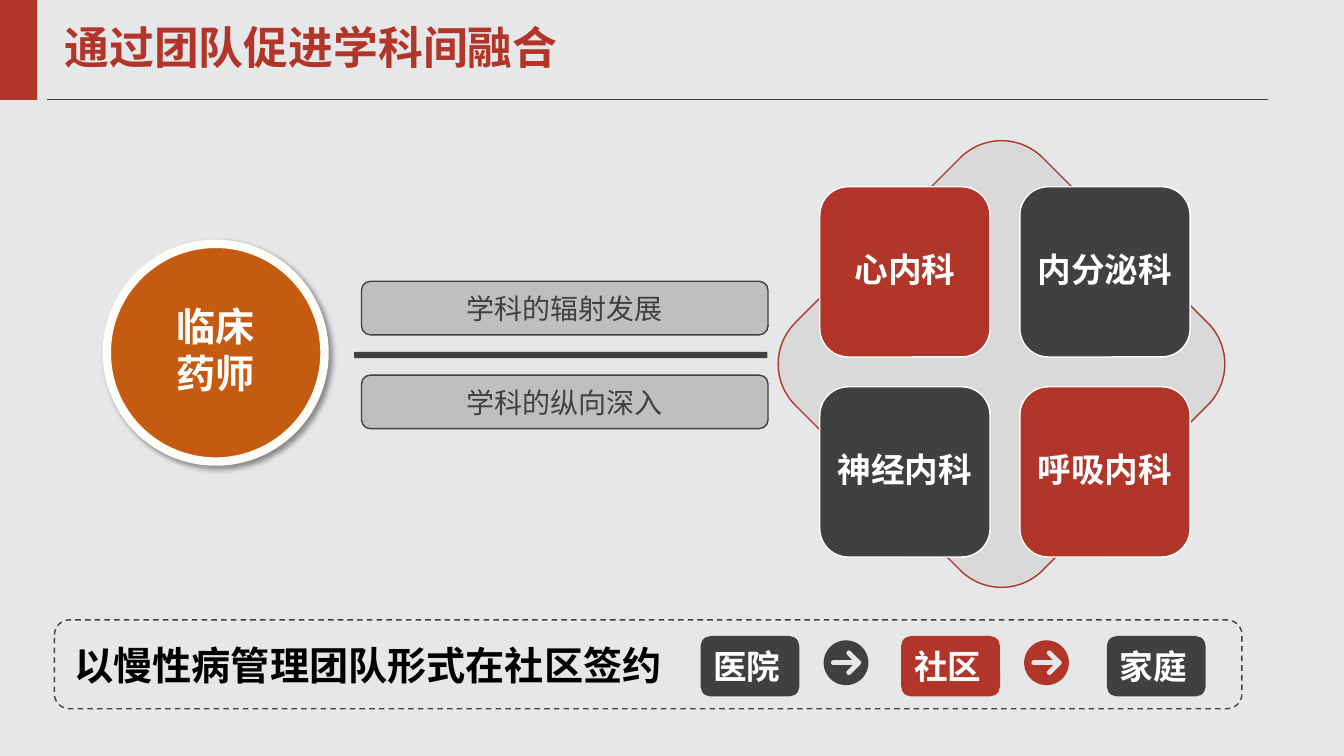
from lxml import etree
from pptx import Presentation
from pptx import util as u
from pptx.dml import color
from pptx.enum import dml, shapes, text
from pptx.oxml import ns

FONT = "Noto Sans CJK SC"
RED, DARK, PALE, WHITE = "B13528", "404040", "E6E7E8", "FFFFFF"
ROUND = shapes.MSO_SHAPE.ROUNDED_RECTANGLE
CENTER, LEFT = text.PP_ALIGN.CENTER, text.PP_ALIGN.LEFT


def rgb(value):
    return color.RGBColor.from_string(value)


def points(*lengths):
    return [u.Pt(length) for length in lengths]


def add_element(parent, tag, **attributes):
    return etree.SubElement(parent, ns.qn(tag), attributes)


def add_figure(page, kind, box, fill=None, line=None, width=1):
    figure = page.shapes.add_shape(kind, *points(*box))
    figure.shadow.inherit = False
    if fill:
        figure.fill.solid()
        figure.fill.fore_color.rgb = rgb(fill)
    else:
        figure.fill.background()
    if line:
        figure.line.color.rgb = rgb(line)
        figure.line.width = u.Pt(width)
    else:
        figure.line.fill.background()
    return figure


def write(shape, words, size, ink, bold=True, align=CENTER, spacing=None, gap=0,
          anchor=text.MSO_ANCHOR.MIDDLE):
    frame = shape.text_frame
    frame.text = words
    frame.word_wrap = True
    frame.vertical_anchor = anchor
    for number, para in enumerate(frame.paragraphs):
        para.alignment = align
        para.line_spacing = spacing
        para.space_before = u.Pt(gap if number else 0)
        for span in para.runs:
            span.font.size = u.Pt(size)
            span.font.bold = bold
            span.font.color.rgb = rgb(ink)
            span.font.name = FONT
            add_element(span.font._element, "a:ea", typeface=FONT)


def add_header(page, left, top, width, height):
    rule = page.shapes.add_connector(
        shapes.MSO_CONNECTOR.STRAIGHT,
        *points(left + 33.8, top + height, left + width, top + height))
    rule.line.color.rgb = rgb(DARK)
    rule.line.width = u.Pt(0.5)
    add_element(rule._element.spPr, "a:effectLst")
    add_figure(page, shapes.MSO_SHAPE.RECTANGLE, (left, top, 26.6, height), RED)
    title = page.shapes.title
    title.left, title.top, title.width, title.height = points(
        left + 38.9, top + 11.5, 867, 49)
    write(title, "通过团队促进学科间融合", 32, RED, align=LEFT, spacing=0.9)


def add_departments(page, left, top, size):
    inset = (size - 250) / 2
    diamond = add_figure(page, ROUND, (left + inset, top + inset, 250, 250), "D9D9D9", RED)
    diamond.rotation = 315
    names = ["心内科", "内分泌科", "神经内科", "呼吸内科"]
    fills = [RED, DARK, DARK, RED]
    pitch, side = 142.9, 121.6
    for number, (name, fill) in enumerate(zip(names, fills)):
        row, column = divmod(number, 2)
        box = (left + 30.2 + column * pitch, top + 33.4 + row * pitch, side, side)
        tile = add_figure(page, ROUND, box, fill, WHITE)
        tile.text_frame.margin_left = tile.text_frame.margin_right = 0
        write(tile, name, 24, WHITE, spacing=0.9)


def add_pharmacist(page, left, top, size):
    circle = add_figure(page, shapes.MSO_SHAPE.OVAL, (left, top, size, size),
                        "C55A11", "FFFDF8", 6)
    effects = circle._element.spPr.find(ns.qn("a:effectLst"))
    shadow = add_element(effects, "a:outerShdw", blurRad=str(u.Pt(4)), dist=str(u.Pt(3)),
                         dir="2700000", algn="tl", rotWithShape="0")
    add_element(add_element(shadow, "a:srgbClr", val="000000"), "a:alpha", val="40000")
    write(circle, "临床\n药师", 28, WHITE, spacing=0.9, gap=3.5)


def add_directions(page, left, top, width, height):
    add_figure(page, ROUND, (left, top + 50.4, width - 0.5, 4.6), DARK)
    bar = 38.3
    for words, bar_top in (("学科的辐射发展", top), ("学科的纵向深入", top + height - bar)):
        label = add_figure(page, ROUND, (left + 5.3, bar_top, width - 5.3, bar),
                           "BFBFBF", DARK)
        write(label, words, 20, DARK, bold=False)


def add_arrow_badge(page, left, top, size, fill):
    add_figure(page, shapes.MSO_SHAPE.OVAL, (left, top, size, size), fill)
    middle, tip = size / 2, 25.2
    builder = page.shapes.build_freeform(6.6, middle, scale=float(u.Pt(1)))
    builder.add_line_segments([(tip, middle)], close=False)
    builder.move_to(tip - 6.7, middle - 6.7)
    builder.add_line_segments([(tip, middle), (tip - 6.7, middle + 6.7)], close=False)
    arrow = builder.convert_to_shape(*points(left, top))
    arrow.shadow.inherit = False
    arrow.fill.background()
    arrow.line.color.rgb = rgb(PALE)
    arrow.line.width = u.Pt(3.6)
    outline = arrow.line._get_or_add_ln()
    outline.set("cap", "rnd")
    add_element(outline, "a:round")


def add_care_strip(page, left, top, width, height):
    slogan = page.shapes.add_textbox(*points(left + 7.2, top + 11.5, 440, 41.2))
    write(slogan, "以慢性病管理团队形式在社区签约", 28, "000000", align=LEFT,
          anchor=text.MSO_ANCHOR.TOP)
    frame = add_figure(page, ROUND, (left, top, width, height), None, DARK)
    frame.line.dash_style = dml.MSO_LINE.DASH
    for name, offset, fill in (("医院", 461.5, DARK), ("社区", 604.8, RED),
                               ("家庭", 751.7, DARK)):
        place = add_figure(page, ROUND, (left + offset, top + 11.5, 70.6, 43.2), fill)
        write(place, name, 24, WHITE, align=LEFT)
    for offset, fill in ((549.4, DARK), (692.6, RED)):
        add_arrow_badge(page, left + offset, top + 14.6, 32, fill)


def main():
    deck = Presentation()
    deck.slide_width, deck.slide_height = points(960, 540)
    page = deck.slides.add_slide(deck.slide_layouts[5])
    page.background.fill.solid()
    page.background.fill.fore_color.rgb = rgb(PALE)
    add_header(page, 0, 0, 905.8, 71.3)
    add_departments(page, 555.4, 100, 320)
    add_pharmacist(page, 76.3, 174.2, 155.5)
    add_directions(page, 252.9, 200.9, 295.7, 105.3)
    add_care_strip(page, 38.9, 442.8, 848.2, 63.4)
    deck.save("out.pptx")


if __name__ == "__main__":
    main()
